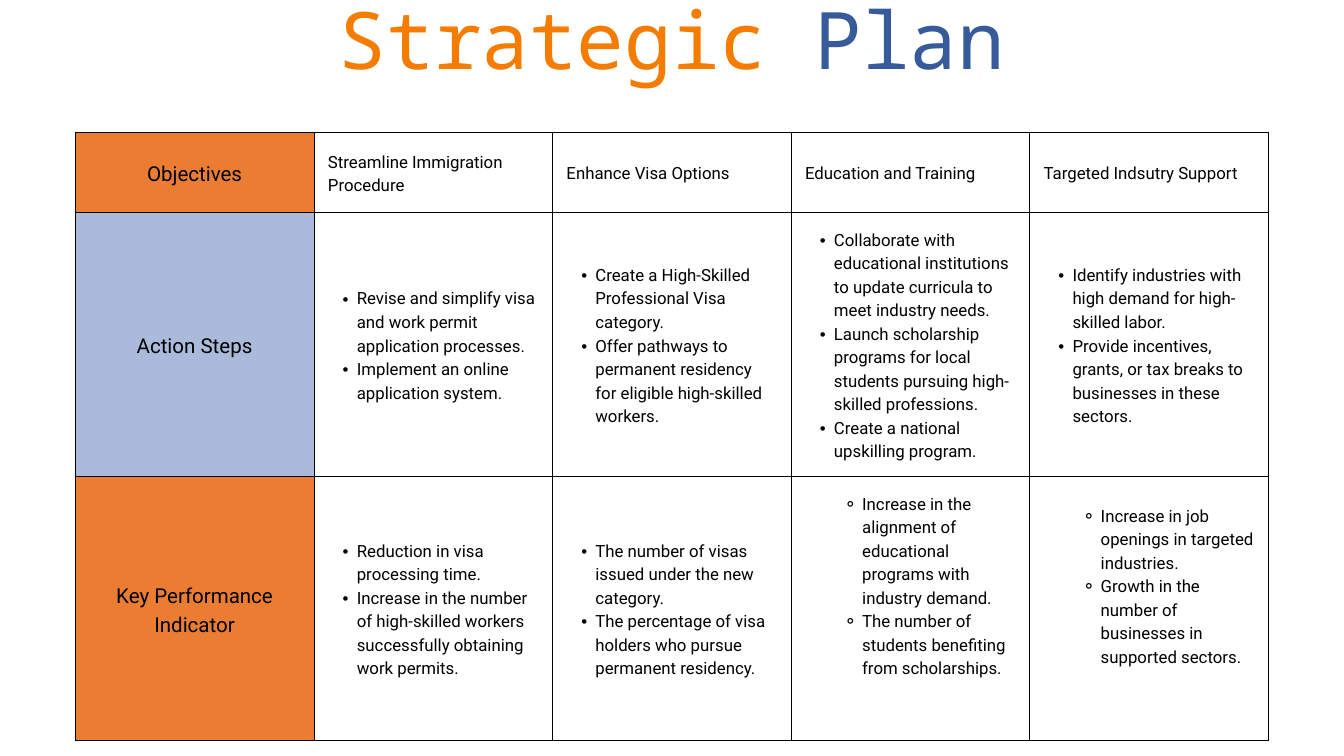
from lxml import etree
from pptx import Presentation
from pptx.dml.color import RGBColor
from pptx.enum import text
from pptx.oxml.ns import qn
from pptx.util import Inches, Pt

ORANGE, BLUE, WHITE, BLACK = "EB7D33", "A9BADA", "FFFFFF", "000000"
TITLE = [("Strategic ", "F47C00"), ("Plan", "375A9B")]
OBJECTIVES = ["Streamline Immigration Procedure", "Enhance Visa Options",
              "Education and Training", "Targeted Indsutry Support"]
ACTION_STEPS = [
    ["Revise and simplify visa and work permit application processes.",
     "Implement an online application system."],
    ["Create a High-Skilled Professional Visa category.",
     "Offer pathways to permanent residency for eligible high-skilled workers."],
    ["Collaborate with educational institutions to update curricula to meet industry needs.",
     "Launch scholarship programs for local students pursuing high-skilled professions.",
     "Create a national upskilling program."],
    ["Identify industries with high demand for high-skilled labor.",
     "Provide incentives, grants, or tax breaks to businesses in these sectors."],
]
INDICATORS = [
    ["Reduction in visa processing time.",
     "Increase in the number of high-skilled workers successfully obtaining work permits."],
    ["The number of visas issued under the new category.",
     "The percentage of visa holders who pursue permanent residency."],
    ["Increase in the alignment of educational programs with industry demand.",
     "The number of students benefiting from scholarships."],
    ["Increase in job openings in targeted industries.",
     "Growth in the number of businesses in supported sectors."],
]
# Bullet styles: level, left margin, hanging indent, character
DOT = (1, 0.43, -0.21, "•")
RING = (2, 0.85, -0.28, "⚬")
# Rows: heading, heading fill, height, items per column, bullet per column
ROWS = [
    ("Objectives", ORANGE, 1.19, [[name] for name in OBJECTIVES], [None] * 4),
    ("Action Steps", BLUE, 3.93, ACTION_STEPS, [DOT] * 4),
    ("Key Performance Indicator", ORANGE, 3.93, INDICATORS, [DOT, DOT, RING, RING]),
]
COLUMN_WIDTH, INSET, RING_LIFT = 3.55, 0.21, 0.7


def rgb(value):
    return RGBColor.from_string(value)


def add_run(paragraph, words, size, color, font="Roboto"):
    run = paragraph.add_run()
    run.text = words
    run.font.size, run.font.name = Pt(size), font
    run.font.color.rgb = rgb(color)


def set_bullet(paragraph, bullet):
    level, margin, indent, char = bullet
    paragraph.level = level
    properties = paragraph._p.get_or_add_pPr()
    properties.set("marL", str(Inches(margin)))
    properties.set("indent", str(Inches(indent)))
    etree.SubElement(properties, qn("a:buFont"), typeface="Arial")
    etree.SubElement(properties, qn("a:buChar"), char=char)


def set_borders(cell):
    properties = cell._tc.get_or_add_tcPr()
    for position, side in enumerate(("lnL", "lnR", "lnT", "lnB")):
        line = etree.Element(qn("a:" + side), w=str(Pt(0.75)))
        fill = etree.SubElement(line, qn("a:solidFill"))
        etree.SubElement(fill, qn("a:srgbClr"), val=BLACK)
        properties.insert(position, line)


def fill_cell(cell, items, color, size, bullet=None, align=text.PP_ALIGN.LEFT):
    cell.fill.solid()
    cell.fill.fore_color.rgb = rgb(color)
    set_borders(cell)
    cell.vertical_anchor = text.MSO_ANCHOR.MIDDLE
    cell.margin_left = cell.margin_right = cell.margin_top = Inches(INSET)
    cell.margin_bottom = Inches(INSET + (RING_LIFT if bullet is RING else 0))
    frame = cell.text_frame
    for i, item in enumerate(items):
        paragraph = frame.add_paragraph() if i else frame.paragraphs[0]
        paragraph.alignment = align
        paragraph.line_spacing = Pt(size * 1.4)
        if bullet:
            set_bullet(paragraph, bullet)
        add_run(paragraph, item, size, BLACK)


prs = Presentation()
prs.slide_width, prs.slide_height = Inches(20), Inches(11.25)
slide = prs.slides.add_slide(prs.slide_layouts[6])

column_count = len(OBJECTIVES) + 1
plan = slide.shapes.add_table(
    len(ROWS), column_count, Inches(1.12), Inches(1.97),
    Inches(COLUMN_WIDTH * column_count), Inches(sum(row[2] for row in ROWS))).table
plan.first_row = plan.horz_banding = False
for column in plan.columns:
    column.width = Inches(COLUMN_WIDTH)
for r, (heading, color, height, columns, bullets) in enumerate(ROWS):
    plan.rows[r].height = Inches(height)
    fill_cell(plan.cell(r, 0), [heading], color, 22, align=text.PP_ALIGN.CENTER)
    for c, (items, bullet) in enumerate(zip(columns, bullets), 1):
        fill_cell(plan.cell(r, c), items, WHITE, 18, bullet)

title = slide.shapes.add_textbox(
    Inches(4.18), Inches(-0.15), Inches(11.64), Inches(1.56)).text_frame
title.word_wrap = True
title.margin_left = title.margin_right = title.margin_top = title.margin_bottom = 0
title_line = title.paragraphs[0]
title_line.alignment = text.PP_ALIGN.CENTER
title_line.line_spacing = Pt(102)
for words, color in TITLE:
    add_run(title_line, words, 85, color, "Noto Sans Mono")

prs.save("out.pptx")
